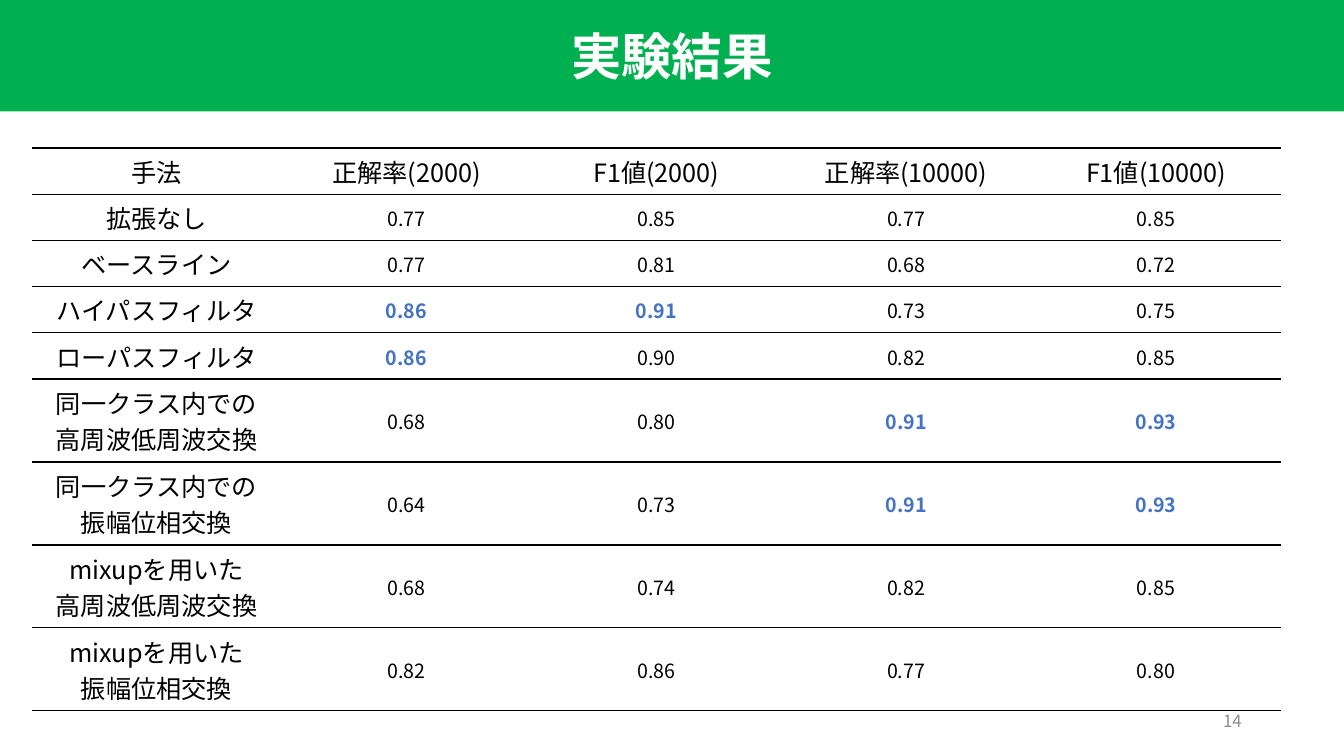
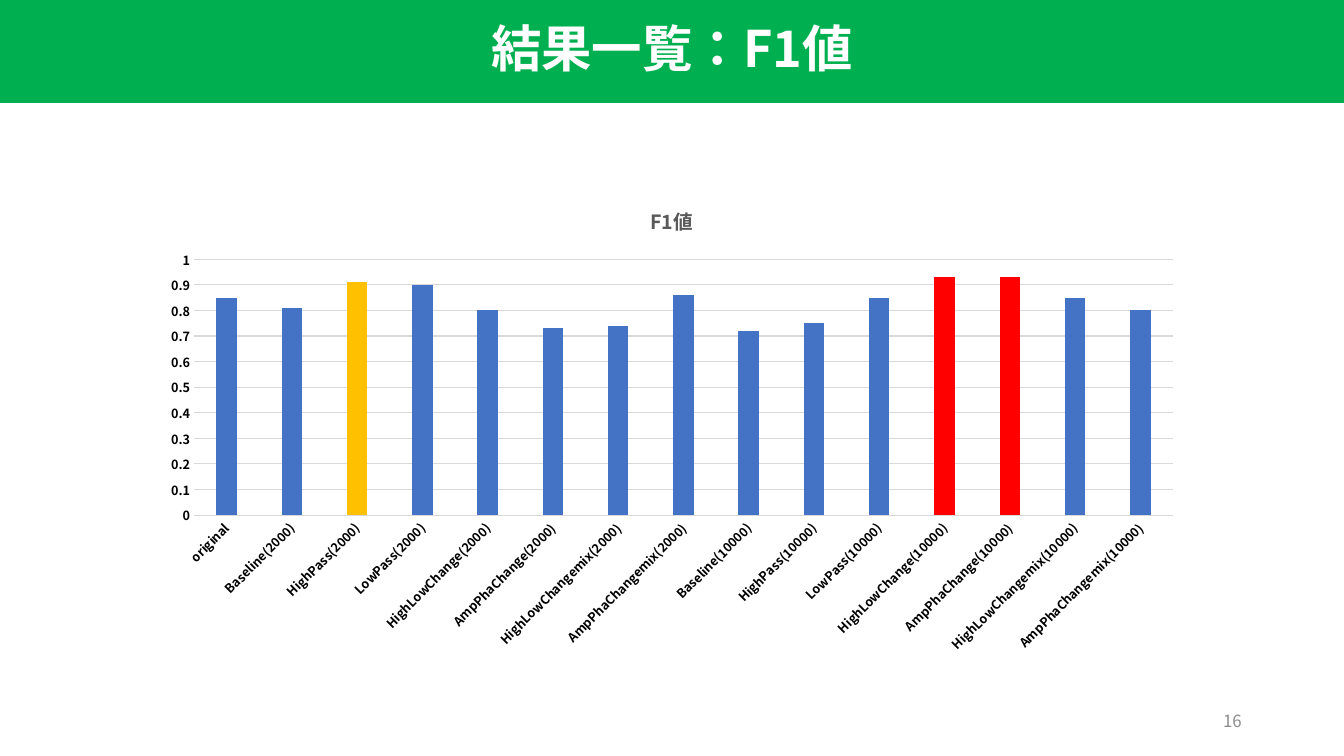
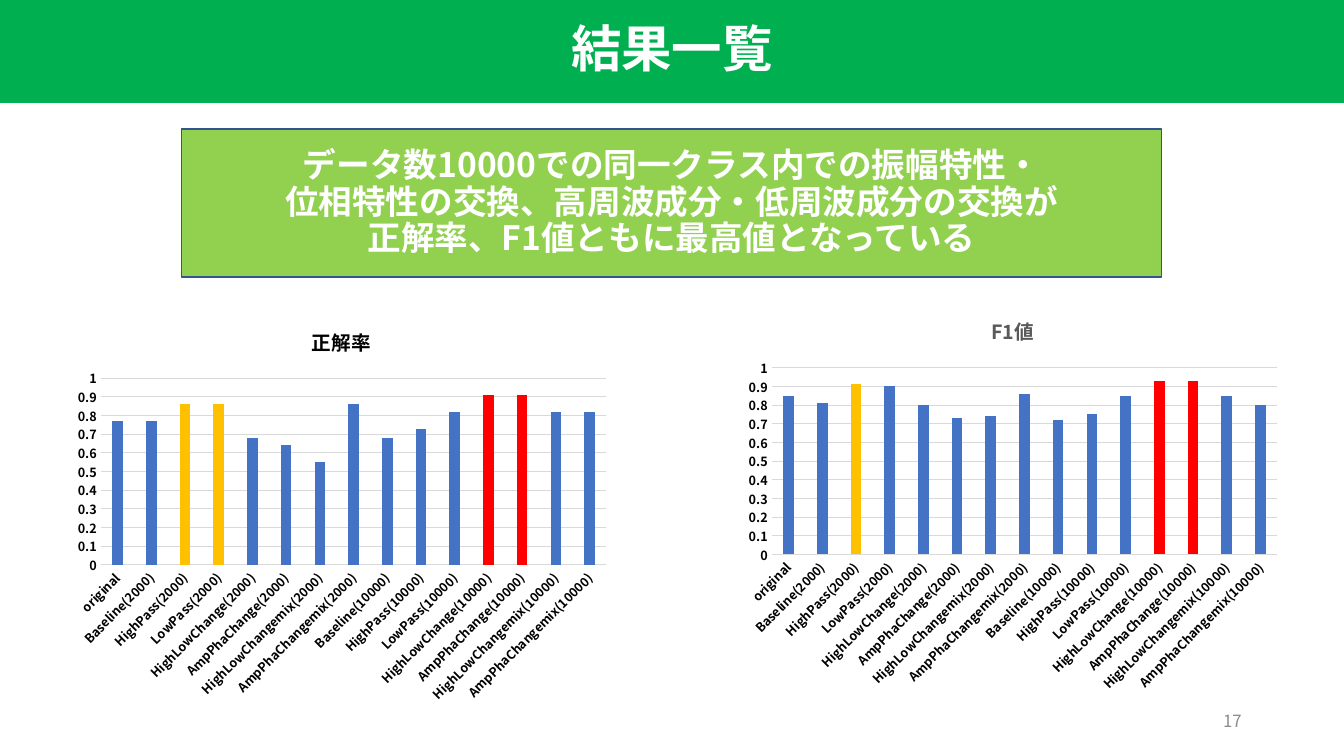
import dataclasses

import lxml.etree
import pptx
import pptx.chart.data
import pptx.dml.color
import pptx.enum.chart
import pptx.enum.lang
import pptx.enum.shapes
import pptx.enum.text
import pptx.oxml.ns
import pptx.util

PX = 9525
CENTER = pptx.enum.text.PP_ALIGN.CENTER
MIDDLE = pptx.enum.text.MSO_ANCHOR.MIDDLE


@dataclasses.dataclass(frozen=True)
class Theme:
    font: str = "Noto Sans CJK JP"
    white: str = "FFFFFF"
    black: str = "000000"
    band: str = "00B050"
    callout: str = "92D050"
    callout_line: str = "325491"
    blue: str = "4472C4"
    gold: str = "FFC000"
    red: str = "FF0000"
    grid: str = "D9D9D9"
    chart_title: str = "595959"
    page_number: str = "8C8C8C"
    title_size: int = 36
    callout_size: int = 24
    table_size: int = 18
    value_size: int = 14
    chart_title_size: int = 14
    page_size: int = 12
    chart_size: int = 10
    axis_size: int = 9


THEME = Theme()

TABLE_HEADER = ("手法", "正解率(2000)", "F1値(2000)", "正解率(10000)", "F1値(10000)")
TABLE_ROWS = [
    ("拡張なし", 0.77, 0.85, 0.77, 0.85),
    ("ベースライン", 0.77, 0.81, 0.68, 0.72),
    ("ハイパスフィルタ", 0.86, 0.91, 0.73, 0.75),
    ("ローパスフィルタ", 0.86, 0.90, 0.82, 0.85),
    ("同一クラス内での\n高周波低周波交換", 0.68, 0.80, 0.91, 0.93),
    ("同一クラス内での\n振幅位相交換", 0.64, 0.73, 0.91, 0.93),
    ("mixupを用いた\n高周波低周波交換", 0.68, 0.74, 0.82, 0.85),
    ("mixupを用いた\n振幅位相交換", 0.82, 0.86, 0.77, 0.80),
]

METHODS = ["Baseline", "HighPass", "LowPass", "HighLowChange", "AmpPhaChange",
           "HighLowChangemix", "AmpPhaChangemix"]
CATEGORIES = ["original"] + [f"{method}({count})" for count in (2000, 10000) for method in METHODS]
ACCURACY = [0.77, 0.77, 0.86, 0.86, 0.68, 0.64, 0.55, 0.86,
            0.68, 0.73, 0.82, 0.91, 0.91, 0.82, 0.82]
F1_SCORE = [0.85, 0.81, 0.91, 0.90, 0.80, 0.73, 0.74, 0.86,
            0.72, 0.75, 0.85, 0.93, 0.93, 0.85, 0.80]
BEST_BARS = {11: THEME.red, 12: THEME.red}
ACCURACY_BARS = {2: THEME.gold, 3: THEME.gold, **BEST_BARS}
F1_BARS = {2: THEME.gold, **BEST_BARS}


def rgb(color):
    return pptx.dml.color.RGBColor.from_string(color)


def box(*lengths):
    return [pptx.util.Emu(length * PX) for length in lengths]


def add_element(parent, tag, **attributes):
    return lxml.etree.SubElement(parent, pptx.oxml.ns.qn(tag), attributes)


def fill_with(target, color):
    target.fill.solid()
    target.fill.fore_color.rgb = rgb(color)


def style_font(font, size, color, bold=False):
    font.size = pptx.util.Pt(size)
    font.bold = bold
    font.color.rgb = rgb(color)
    font.name = THEME.font


def write_text(frame, text, size, color, bold=False, align=CENTER, spacing=None):
    frame.text = text
    for paragraph in frame.paragraphs:
        paragraph.alignment = align
        paragraph.line_spacing = spacing
        style_font(paragraph.font, size, color, bold)
        paragraph.font.language_id = pptx.enum.lang.MSO_LANGUAGE_ID.JAPANESE
        properties = paragraph._p.pPr.find(pptx.oxml.ns.qn("a:defRPr"))
        add_element(properties, "a:ea", typeface=THEME.font)


def add_page(presentation, title, number, band_top):
    slide = presentation.slides.add_slide(presentation.slide_layouts[5])
    band = slide.shapes.title
    band.left, band.top, band.width, band.height = box(0, band_top, 1280, 106)
    fill_with(band, THEME.band)
    frame = band.text_frame
    frame.auto_size = pptx.enum.text.MSO_AUTO_SIZE.NONE
    frame.vertical_anchor = MIDDLE
    write_text(frame, title, THEME.title_size, THEME.white, True, spacing=1.0)

    page = slide.shapes.add_textbox(*box(904, 667, 288, 38)).text_frame
    page.word_wrap = True
    page.vertical_anchor = MIDDLE
    write_text(page, str(number), THEME.page_size, THEME.page_number,
               align=pptx.enum.text.PP_ALIGN.RIGHT)
    return slide


def rule_cell(cell):
    properties = cell._tc.get_or_add_tcPr()
    for side in ("a:lnL", "a:lnR"):
        add_element(add_element(properties, side), "a:noFill")
    for side in ("a:lnT", "a:lnB"):
        line = add_element(properties, side, w=str(pptx.util.Pt(1)))
        add_element(add_element(line, "a:solidFill"), "a:srgbClr", val=THEME.black)
    fill_with(cell, THEME.white)


def add_results_table(slide):
    rows = [TABLE_HEADER] + TABLE_ROWS
    heights = [79 if "\n" in values[0] else 44 for values in rows]
    table = slide.shapes.add_table(
        len(rows), len(TABLE_HEADER),
        *box(30, 141, 238 * len(TABLE_HEADER), sum(heights))).table
    table.first_row = False
    table.horz_banding = False
    best = [max(column) for column in list(zip(*TABLE_ROWS))[1:]]
    for row, values in enumerate(rows):
        table.rows[row].height = pptx.util.Emu(heights[row] * PX)
        for column, value in enumerate(values):
            cell = table.cell(row, column)
            rule_cell(cell)
            if isinstance(value, str):
                write_text(cell.text_frame, value, THEME.table_size, THEME.black)
                continue
            cell.vertical_anchor = MIDDLE
            cell.margin_left, cell.margin_top, cell.margin_right, cell.margin_bottom = box(1, 1, 1, 0)
            is_best = value == best[column - 1]
            write_text(cell.text_frame, f"{value:.2f}", THEME.value_size,
                       THEME.blue if is_best else THEME.black, is_best)


def style_axis(axis):
    axis.major_tick_mark = pptx.enum.chart.XL_TICK_MARK.NONE
    axis.minor_tick_mark = pptx.enum.chart.XL_TICK_MARK.NONE
    style_font(axis.tick_labels.font, THEME.axis_size, THEME.black, True)


def style_line(line):
    line.color.rgb = rgb(THEME.grid)
    line.width = pptx.util.Pt(0.75)


def add_score_chart(slide, bounds, title, scores, highlights, title_color=THEME.chart_title):
    data = pptx.chart.data.CategoryChartData(number_format="General")
    data.categories = CATEGORIES
    data.add_series("Series 1", scores)
    chart = slide.shapes.add_chart(
        pptx.enum.chart.XL_CHART_TYPE.COLUMN_CLUSTERED, *box(*bounds), data).chart
    style_font(chart.font, THEME.chart_size, THEME.black)
    chart.has_legend = False
    chart.has_title = True
    chart.chart_title.include_in_layout = False
    write_text(chart.chart_title.text_frame, title, THEME.chart_title_size, title_color, True)

    style_axis(chart.category_axis)
    style_line(chart.category_axis.format.line)
    label_body = chart.category_axis._element.find(
        pptx.oxml.ns.qn("c:txPr")).find(pptx.oxml.ns.qn("a:bodyPr"))
    label_body.set("rot", "-2700000")

    scale = chart.value_axis
    style_axis(scale)
    scale.minimum_scale, scale.maximum_scale, scale.major_unit = 0, 1, 0.1
    scale.format.line.fill.background()
    style_line(scale.major_gridlines.format.line)

    plot = chart.plots[0]
    plot.vary_by_categories = False
    plot.gap_width = 219
    plot.overlap = -27
    series = plot.series[0]
    fill_with(series.format, THEME.blue)
    for index, color in highlights.items():
        fill_with(series.points[index].format, color)


def add_callout(slide, bounds, text):
    callout = slide.shapes.add_shape(pptx.enum.shapes.MSO_SHAPE.RECTANGLE, *box(*bounds))
    callout.shadow.inherit = False
    fill_with(callout, THEME.callout)
    callout.line.color.rgb = rgb(THEME.callout_line)
    callout.line.width = pptx.util.Pt(1)
    callout.text_frame.vertical_anchor = MIDDLE
    write_text(callout.text_frame, text, THEME.callout_size, THEME.white, True, spacing=0.91)


def main():
    presentation = pptx.Presentation()
    presentation.slide_width, presentation.slide_height = box(1280, 720)

    add_results_table(add_page(presentation, "実験結果", 14, 0))

    f1_page = add_page(presentation, "結果一覧：F1値", 16, -8)
    add_score_chart(f1_page, (143, 177, 994, 454), "F1値", F1_SCORE, F1_BARS)

    summary = add_page(presentation, "結果一覧", 17, -8)
    add_score_chart(summary, (63, 293, 525, 384), "正解率", ACCURACY, ACCURACY_BARS, THEME.black)
    add_score_chart(summary, (702, 283, 525, 384), "F1値", F1_SCORE, F1_BARS)
    add_callout(summary, (173, 123, 933, 141),
                "データ数10000での同一クラス内での振幅特性・\n"
                "位相特性の交換、高周波成分・低周波成分の交換が\n"
                "正解率、F1値ともに最高値となっている")

    presentation.save("out.pptx")


if __name__ == "__main__":
    main()
